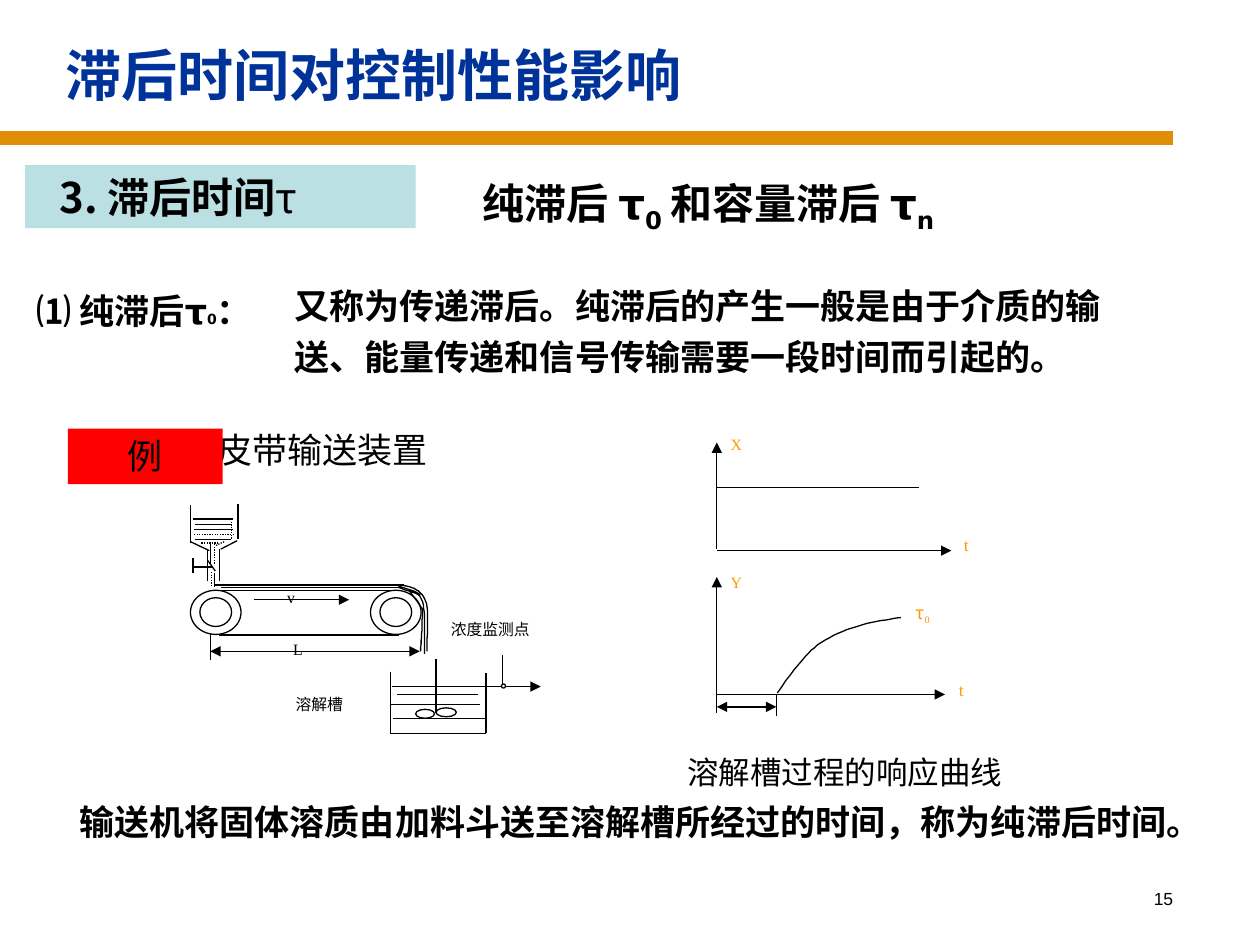
from lxml.etree import SubElement
from pptx import Presentation
from pptx.dml.color import RGBColor
from pptx.enum.dml import MSO_LINE
from pptx.enum.shapes import MSO_CONNECTOR, MSO_SHAPE
from pptx.enum.text import MSO_ANCHOR, PP_ALIGN
from pptx.oxml.ns import qn
from pptx.util import Cm, Pt

COLORS = {"title": "003399", "bar": "DF8E05", "heading": "BBE0E3", "example": "FF0000",
          "ink": "000000", "paper": "FFFFFF", "label": "FF9900"}
SANS, CJK, SERIF = "DejaVu Sans", "Noto Sans CJK SC", "Times New Roman"
LEFT, CENTER, RIGHT = PP_ALIGN.LEFT, PP_ALIGN.CENTER, PP_ALIGN.RIGHT

# All places are in inches: (left, top, width, height) or (x1, y1, x2, y2).
TITLE = "滞后时间对控制性能影响"
# place, runs as (text, changes), font, size, paragraph and box options
TEXTS = [
    ((7.33, 7, 2.08, 0.5), [("15", {})], "Arial", 10, {"align": RIGHT}),
    ((0.2, 1.31, 3.1, 0.5), [("3. 滞后时间", {"bold": True}), ("τ", {})], CJK, 24,
     {"before": 6, "fill": "heading", "inset": 0.27}),
    ((2.24, 2.14, 6.64, 0.9),
     [("又称为传递滞后。纯滞后的产生一般是由于介质的输送、能量传递和信号传输需要一段时间而引起的。", {})],
     CJK, 20, {"bold": True, "before": 5, "spacing": 1.2, "middle": True}),
    ((-0.21, 2.25, 2.71, 0.44),
     [("⑴ ", {"font": SERIF}), ("纯滞后τ", {}), ("0", {"size": 8}), ("：", {})],
     SANS, 20, {"bold": True, "before": 5, "align": CENTER}),
    ((1.63, 3.35, 1.89, 0.44), [("皮带输送装置", {})], CJK, 20, {"middle": True}),
    ((0.54, 3.4, 1.23, 0.44), [("例", {})], SANS, 20,
     {"before": 5, "align": CENTER, "fill": "example"}),
    ((3.3, 1.36, 4.65, 0.56),
     [("纯滞后 τ", {}), ("0 ", {"sub": True}), ("和容量滞后 τ", {}), ("n", {"sub": True})],
     SANS, 24, {"bold": True, "align": CENTER}),
    ((5.36, 5.91, 2.76, 0.44), [("溶解槽过程的响应曲线", {})], SANS, 18, {"middle": True}),
    ((7.17, 4.73, 0.55, 0.32), [("τ", {}), ("0", {"font": SERIF, "sub": True})], CJK, 10,
     {"before": 2.5, "color": "label"}),
    ((0.37, 6.24, 9.43, 0.5), [("输送机将固体溶质由加料斗送至溶解槽所经过的时间，称为纯滞后时间。", {})],
     SANS, 20, {"bold": True, "before": 5, "spacing": 1.2, "align": CENTER}),
]

WHEEL_CENTERS, WHEEL_Y = (1.71, 3.14), 4.86
WHEEL_SIZES = [(0.4, 0.35), (0.25, 0.23)]
BLADES = [(3.46, 5.62, 0.16, 0.07), (3.3, 5.63, 0.15, 0.07)]
SENSOR = (3.98, 5.43, 0.03, 0.03)
CONVEYOR_LINES = [
    # belt
    (1.7, 4.69, 3.15, 4.69), (1.74, 5.04, 3.17, 5.04), (1.75, 4.66, 3.19, 4.66), (1.71, 4.64, 3.21, 4.64),
    # hopper and valve
    (1.51, 4.01, 1.51, 4.31), (1.89, 4, 1.89, 4.28), (1.51, 4.3, 1.66, 4.37), (1.75, 4.36, 1.88, 4.29),
    (1.65, 4.36, 1.65, 4.61), (1.74, 4.36, 1.74, 4.61), (1.65, 4.45, 1.71, 4.53),
    (1.54, 4.5, 1.68, 4.5), (1.53, 4.43, 1.53, 4.55),
    # material
    (1.55, 4.28, 1.83, 4.28), (1.54, 4.2, 1.85, 4.2), (1.55, 4.16, 1.83, 4.16), (1.53, 4.12, 1.85, 4.12),
    (1.67, 4.3, 1.67, 4.48), (1.7, 4.55, 1.7, 4.66),
    # tank, shaft, liquid, sensor and length mark
    (3.1, 5.33, 3.1, 5.82), (3.1, 5.82, 3.86, 5.82), (3.86, 5.82, 3.86, 5.34), (3.46, 5.23, 3.46, 5.66),
    (3.15, 5.51, 3.79, 5.51), (3.1, 5.59, 3.81, 5.59), (3.12, 5.7, 3.86, 5.7),
    (3.99, 5.44, 3.99, 5.2), (1.67, 5.03, 1.67, 5.24),
]
DOTTED_LINES = [
    (1.6, 4.31, 1.74, 4.31), (1.54, 4.24, 1.85, 4.24), (1.84, 4.14, 1.84, 4.28),
    (1.7, 4.32, 1.7, 4.48), (1.78, 4.3, 1.71, 4.33), (1.68, 4.54, 1.68, 4.66),
]
# start point, then cubic segments of two controls and an end
FALLING_CURVES = [
    [(3.16, 4.66), (3.23, 4.69), (3.31, 4.71), (3.33, 4.72), (3.34, 4.72), (3.25, 4.67), (3.25, 4.69),
     (3.26, 4.71), (3.33, 4.79), (3.35, 4.83), (3.36, 4.87), (3.35, 4.89), (3.35, 4.95),
     (3.35, 5.01), (3.34, 5.09), (3.34, 5.17)],
    [(3.18, 4.64), (3.23, 4.65), (3.28, 4.66), (3.32, 4.69), (3.35, 4.72), (3.38, 4.74), (3.39, 4.82),
     (3.4, 4.9), (3.39, 5.03), (3.39, 5.17)],
    [(3.16, 4.65), (3.22, 4.67), (3.29, 4.69), (3.33, 4.73), (3.36, 4.77), (3.36, 4.8), (3.37, 4.88),
     (3.37, 4.95), (3.37, 5.07), (3.37, 5.19)],
]
CONVEYOR_LABELS = [
    ((3.48, 4.87, 1.64, 0.47), "浓度监测点"), ((2.25, 5.47, 1.12, 0.42), "溶解槽"),
    ((2.18, 4.62, 0.52, 0.44), "v"), ((2.23, 5.03, 0.58, 0.39), "L"),
]
AXES = [(5.69, 4.36, 5.69, 3.51), (5.69, 4.37, 7.55, 4.37), (5.69, 5.51, 5.69, 4.58), (5.69, 5.51, 7.5, 5.51)]
STEP = (5.69, 3.87, 7.29, 3.87)
DELAY_MARKS = [(5.69, 5.49, 5.69, 5.66), (6.16, 5.52, 6.16, 5.68)]
DELAY = (5.69, 5.61, 6.16, 5.61)
RESPONSE = [(6.17, 5.5), (6.23, 5.41), (6.29, 5.33), (6.35, 5.26), (6.41, 5.19), (6.46, 5.13), (6.55, 5.08),
            (6.63, 5.03), (6.74, 4.99), (6.84, 4.96), (6.94, 4.93), (7.04, 4.92), (7.15, 4.9)]
AXIS_LABELS = [
    ((5.7, 3.4, 0.44, 0.45), "X", 9), ((5.7, 4.5, 0.4, 0.5), "Y", 9),
    ((7.55, 4.19, 0.47, 0.51), "t", 10), ((7.51, 5.34, 0.53, 0.54), "t", 10),
]


def lengths(values):
    """Turn inches into slide lengths."""
    return [Cm(round(value * 2.54, 2)) for value in values]


def rgb(name):
    return RGBColor.from_string(COLORS[name])


def set_font(font, name, size, color, bold):
    font.name, font.size, font.bold = name, Pt(size), bold
    font.color.rgb = rgb(color)
    SubElement(font._element, qn("a:ea"), typeface=CJK)


def add_text(shapes, place, runs, font, size, align=LEFT, before=0, spacing=1.0, bold=False,
             color="ink", fill=None, middle=False, inset=0.1):
    if fill:
        box = shapes.add_shape(MSO_SHAPE.RECTANGLE, *lengths(place))
        box.shadow.inherit = False
        box.fill.solid()
        box.fill.fore_color.rgb = rgb(fill)
        box.line.fill.background()
    else:
        box = shapes.add_textbox(*lengths(place))
    frame = box.text_frame
    frame.word_wrap = True
    frame.margin_left = lengths([inset])[0]
    frame.vertical_anchor = MSO_ANCHOR.MIDDLE if middle else MSO_ANCHOR.TOP
    para = frame.paragraphs[0]
    para.alignment, para.space_before, para.line_spacing = align, Pt(before), spacing
    mixed = any(changes for _, changes in runs)
    if not mixed:
        set_font(para.font, font, size, color, bold)
    for text, changes in runs:
        span = para.add_run()
        span.text = text
        if mixed:
            set_font(span.font, changes.get("font", font), changes.get("size", size), color,
                     changes.get("bold", bold))
        if changes.get("sub"):
            span.font._element.set("baseline", "-25000")


def add_line(shapes, ends, width=0.75, color="ink", dotted=False, arrows=()):
    line = shapes.add_connector(MSO_CONNECTOR.STRAIGHT, *lengths(ends))
    line.line.width = Pt(width)
    line.line.color.rgb = rgb(color)
    if dotted:
        line.line.dash_style = MSO_LINE.ROUND_DOT
    for end in arrows:
        SubElement(line.line._get_or_add_ln(), qn(f"a:{end}"), type="triangle")
    SubElement(line._element.spPr, qn("a:effectLst"))


def add_oval(shapes, place):
    oval = shapes.add_shape(MSO_SHAPE.OVAL, *lengths(place))
    oval.shadow.inherit = False
    oval.fill.solid()
    oval.fill.fore_color.rgb = rgb("paper")
    oval.line.color.rgb = rgb("ink")
    oval.line.width = Pt(0.75)


def add_curve(shapes, points, steps=8):
    """Draw chained cubic Bezier segments as a fine open polyline."""
    vertices = []
    for first in range(0, len(points) - 1, 3):
        segment = points[first:first + 4]
        for step in range(1, steps + 1):
            t = step / steps
            weights = ((1 - t) ** 3, 3 * t * (1 - t) ** 2, 3 * t * t * (1 - t), t ** 3)
            vertices.append(lengths(sum(w * p[axis] for w, p in zip(weights, segment)) for axis in (0, 1)))
    builder = shapes.build_freeform(*lengths(points[0]))
    builder.add_line_segments(vertices, close=False)
    curve = builder.convert_to_shape()
    curve.shadow.inherit = False
    curve.fill.background()
    curve.line.color.rgb = rgb("ink")
    curve.line.width = Pt(0.75)


def draw_conveyor(shapes):
    for x in WHEEL_CENTERS:
        for width, height in WHEEL_SIZES:
            add_oval(shapes, (x - width / 2, WHEEL_Y - height / 2, width, height))
    for blade in BLADES:
        add_oval(shapes, blade)
    for ends in CONVEYOR_LINES:
        add_line(shapes, ends)
    for ends in DOTTED_LINES:
        add_line(shapes, ends, dotted=True)
    for points in FALLING_CURVES:
        add_curve(shapes, points)
    add_line(shapes, (3.11, 5.45, 4.29, 5.45), arrows=["tailEnd"])
    add_line(shapes, (2.02, 4.76, 2.77, 4.76), 0.5, arrows=["tailEnd"])
    add_line(shapes, (1.67, 5.17, 3.33, 5.17), 0.5, arrows=["headEnd", "tailEnd"])
    add_oval(shapes, SENSOR)
    for place, text in CONVEYOR_LABELS:
        add_text(shapes, place, [(text, {})], SERIF, 9, before=2.2)


def draw_response(shapes):
    for ends in AXES:
        add_line(shapes, ends, arrows=["tailEnd"])
    add_line(shapes, STEP)
    add_curve(shapes, RESPONSE)
    for ends in DELAY_MARKS:
        add_line(shapes, ends, 0.5)
    add_line(shapes, DELAY, arrows=["headEnd", "tailEnd"])
    for place, text, size in AXIS_LABELS:
        add_text(shapes, place, [(text, {})], SERIF, size, before=size / 4, color="label")


def main():
    deck = Presentation()
    deck.slide_width, deck.slide_height = lengths((10, 7.5))
    page = deck.slides.add_slide(deck.slide_layouts[5])
    title = page.shapes.title
    title.left, title.top, title.width, title.height = lengths((0.42, 0.17, 9, 0.84))
    title.text_frame.text = TITLE
    title.text_frame.vertical_anchor = MSO_ANCHOR.MIDDLE
    para = title.text_frame.paragraphs[0]
    para.alignment = LEFT
    set_font(para.font, SERIF, 32, "title", True)
    add_line(page.shapes, (0, 1.1, 9.31, 1.1), 8, "bar")
    for place, runs, font, size, options in TEXTS:
        add_text(page.shapes, place, runs, font, size, **options)
    draw_conveyor(page.shapes.add_group_shape().shapes)
    draw_response(page.shapes.add_group_shape().shapes)
    deck.save("out.pptx")


if __name__ == "__main__":
    main()
